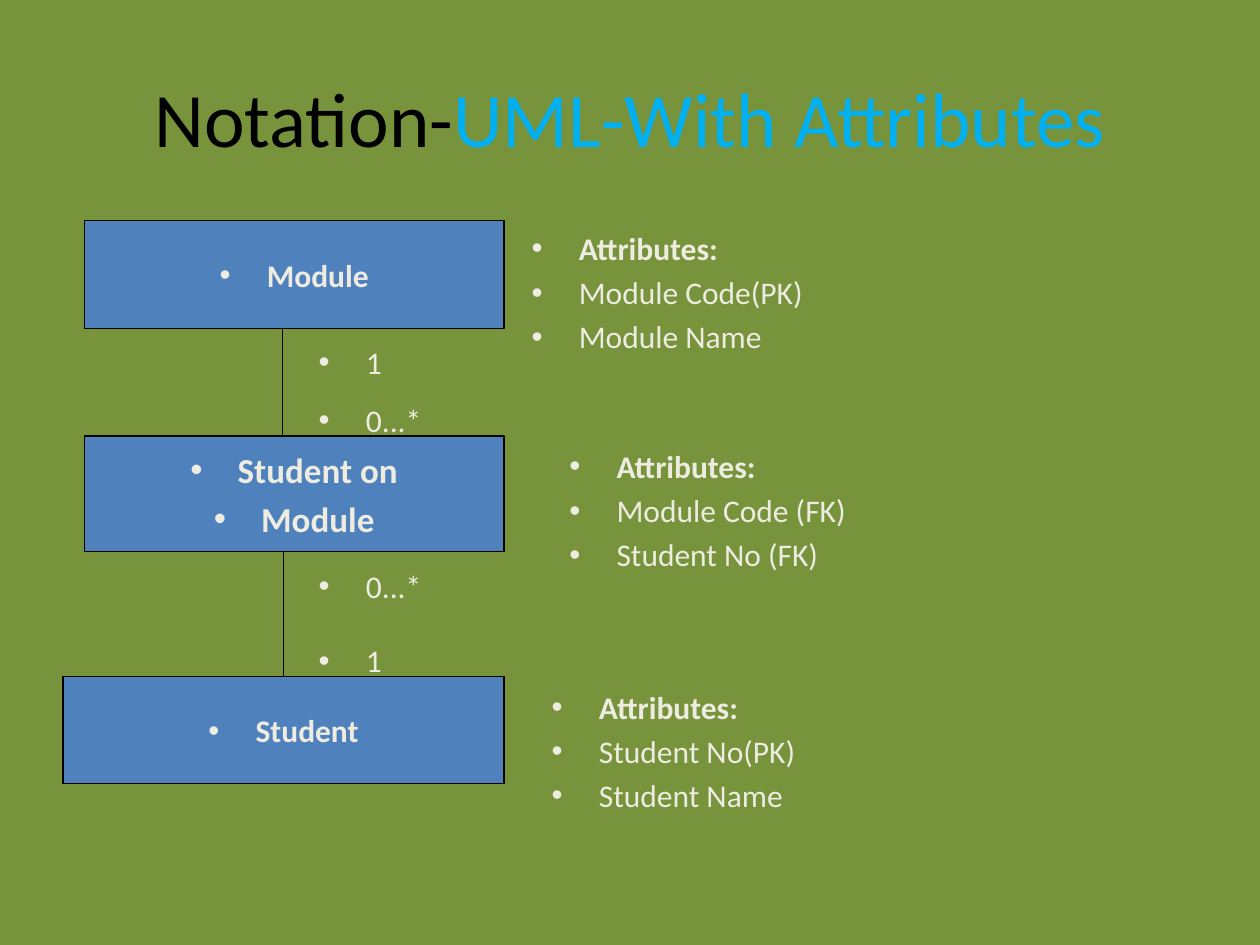
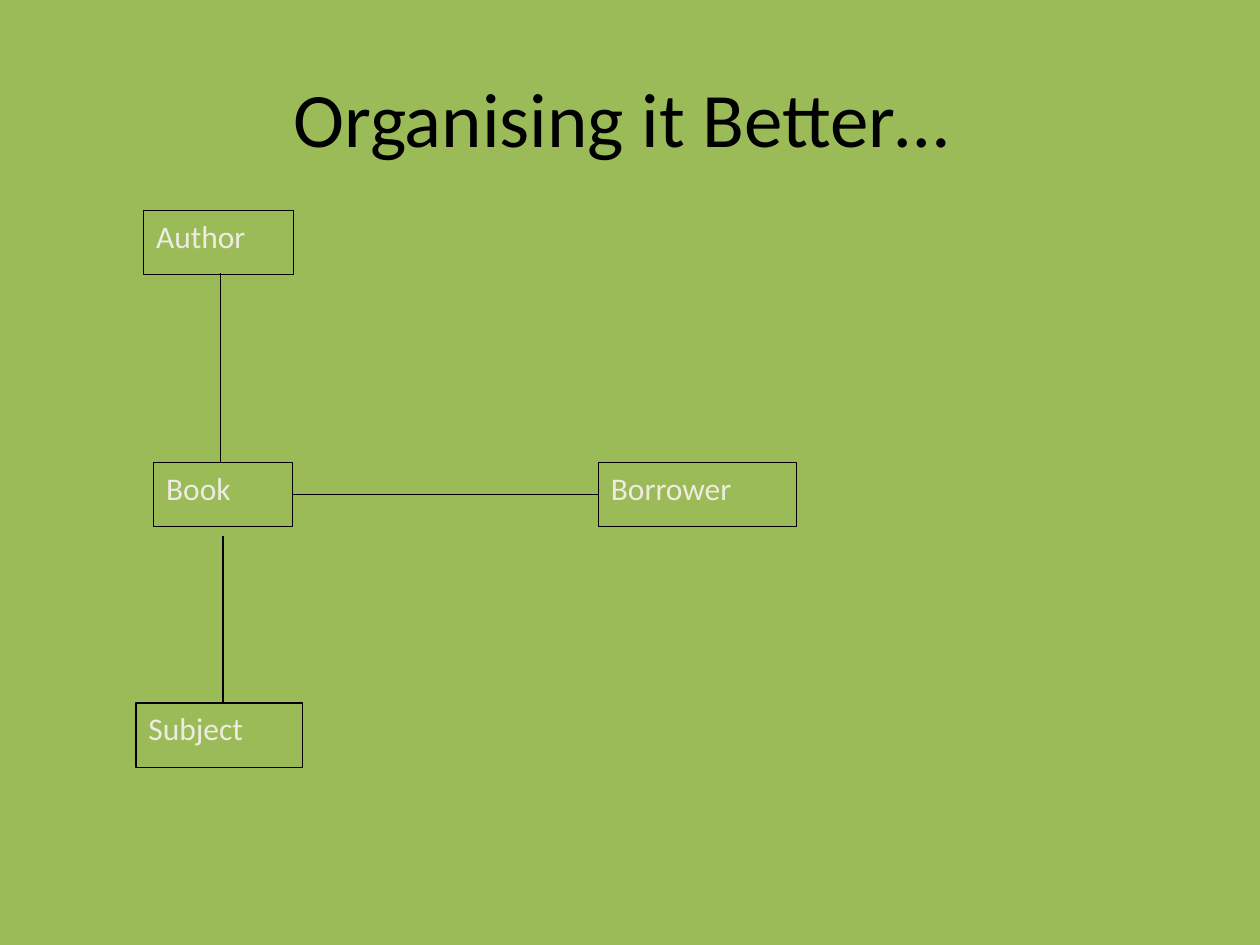
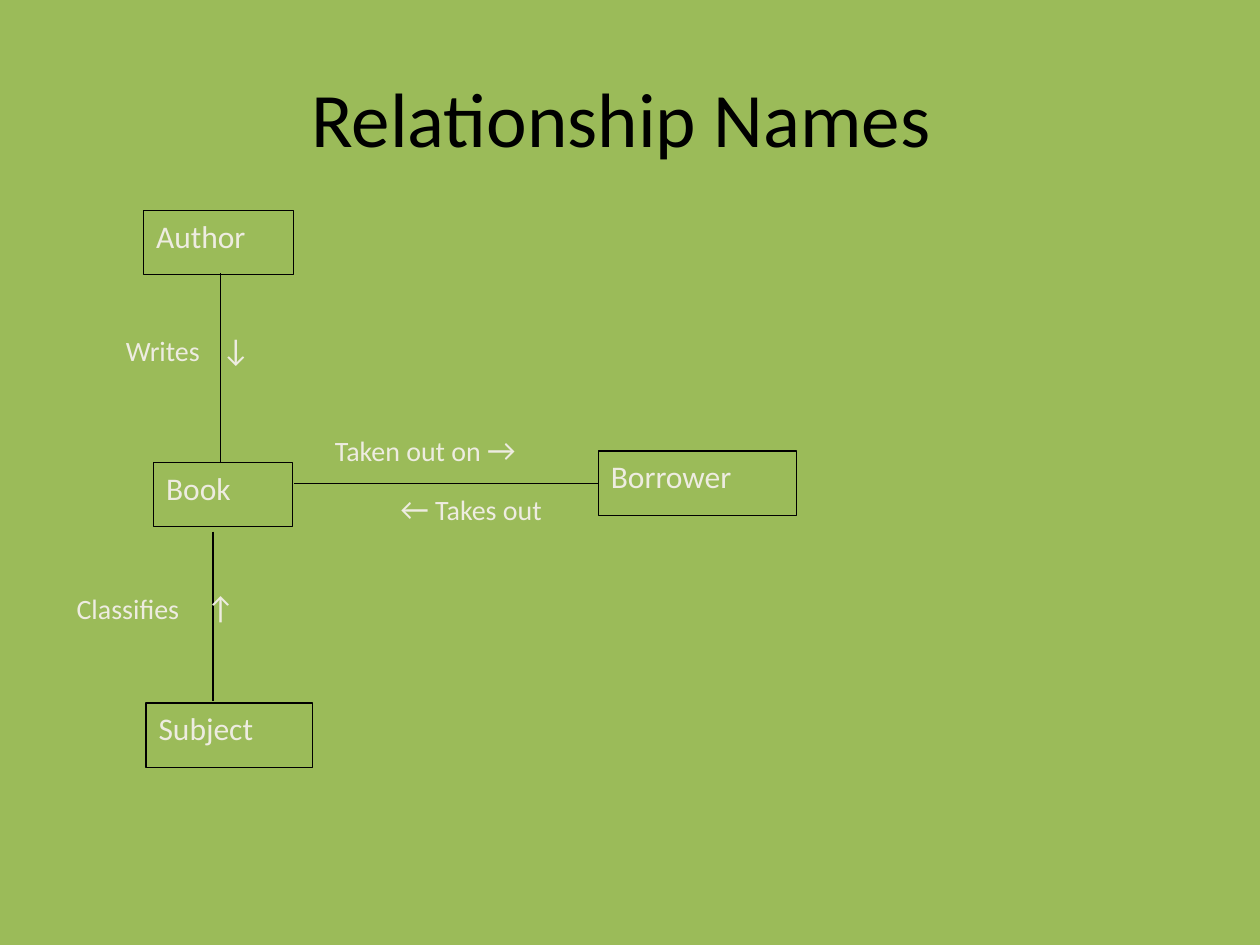
from lxml import etree
from pptx import Presentation
from pptx import util as u
from pptx.dml.color import RGBColor
from pptx.enum import shapes, text
from pptx.oxml.ns import qn

OLIVE = RGBColor(0x77, 0x93, 0x3C)
GREEN = RGBColor(0x9B, 0xBB, 0x59)
BLUE = RGBColor(0x4F, 0x81, 0xBD)
SKY = RGBColor(0x00, 0xB0, 0xF0)
CREAM = RGBColor(0xEE, 0xEC, 0xE1)
BLACK = RGBColor(0, 0, 0)
FONT = "Calibri"

deck = Presentation()
deck.slide_width, deck.slide_height = u.Inches(10), u.Inches(7.5)
COL = deck.slide_width / 10  # grid of 10 columns
ROW = deck.slide_height / 7.5  # and 7.5 rows
INDENT = int(0.375 * COL)


def put(sheet, spot, lines, size=18, hue=CREAM, bold=False, frame=False,
        fill=None, mid=False, bullet=False):
    """Place a text box, or a framed rectangle, given in columns and rows."""
    x, y, w, h = spot
    area = int(x * COL), int(y * ROW), int(w * COL), int(h * ROW)
    if frame:
        box = sheet.shapes.add_shape(shapes.MSO_SHAPE.RECTANGLE, *area)
        box.shadow.inherit = False
        box.line.color.rgb, box.line.width = BLACK, u.Pt(0.75)
    else:
        box = sheet.shapes.add_textbox(*area)
    if fill is None:
        box.fill.background()
    else:
        box.fill.solid()
        box.fill.fore_color.rgb = fill
    body = box.text_frame
    body.word_wrap = True
    body.vertical_anchor = text.MSO_ANCHOR.MIDDLE if mid else text.MSO_ANCHOR.TOP
    body.text = "\n".join(lines)
    for i, para in enumerate(body.paragraphs):
        para.alignment = text.PP_ALIGN.CENTER if mid else text.PP_ALIGN.LEFT
        if i:
            para.space_before = u.Pt(size * 0.2)
        if bullet:
            props = para._p.get_or_add_pPr()
            props.set("marL", str(INDENT))
            props.set("indent", str(-INDENT))
            etree.SubElement(props, qn("a:buFont"), typeface="Arial")
            etree.SubElement(props, qn("a:buChar"), char="•")
        for run in para.runs:
            run.font.name, run.font.size = FONT, u.Pt(size)
            run.font.bold, run.font.color.rgb = bold, hue
    return box


def link(sheet, x1, y1, x2, y2):
    """Draw a thin black line between two grid points."""
    line = sheet.shapes.add_connector(
        shapes.MSO_CONNECTOR.STRAIGHT,
        int(x1 * COL), int(y1 * ROW), int(x2 * COL), int(y2 * ROW))
    line.line.color.rgb, line.line.width = BLACK, u.Pt(0.75)
    etree.SubElement(line._element.spPr, qn("a:effectLst"))
    return line


# Backgrounds and titles
sheets, heads = [], []
for hue, name in ((OLIVE, "Notation-"), (GREEN, "Organising it Better… "),
                  (GREEN, "Relationship Names ")):
    sheet = deck.slides.add_slide(deck.slide_layouts[6])
    sheet.background.fill.solid()
    sheet.background.fill.fore_color.rgb = hue
    heads.append(put(sheet, (0.5, 0.3, 9, 1.25), [name], 44, BLACK, mid=True))
    sheets.append(sheet)
uml, plan, names = sheets

# Slide 1: second half of the title
run = heads[0].text_frame.paragraphs[0].add_run()
run.text = "UML-With Attributes"
run.font.name, run.font.size, run.font.color.rgb = FONT, u.Pt(44), SKY

# Slide 1: entities and their links
link(uml, 2.24, 2.56, 2.24, 3.46)
for spot, lines, size in (
        ((0.67, 1.75, 3.33, 0.86), ["Module"], 18),
        ((0.67, 3.46, 3.33, 0.92), ["Student on", "Module"], 20),
        ((0.5, 5.37, 3.5, 0.85), ["Student"], 18)):
    entity = put(uml, spot, lines, size, bold=True, frame=True, fill=BLUE,
                 mid=True, bullet=True)
link(uml, 2.25, 4.38, 2.25, 5.37).end_connect(entity, 0)

# Slide 1: attributes
for spot, lines in (
        ((4.12, 1.77, 5.38, 1.2), ["Module Code(PK)", "Module Name"]),
        ((4.42, 3.5, 5.04, 1.2), ["Module Code (FK)", "Student No (FK)"]),
        ((4.28, 5.41, 4.58, 1.29), ["Student No(PK)", "Student Name"])):
    box = put(uml, spot, ["Attributes:"] + lines, bullet=True)
    box.text_frame.paragraphs[0].runs[0].font.bold = True

# Slide 1: how many at each end
for y, count in ((2.67, "1"), (3.13, "0...*"), (4.45, "0...*"), (5.04, "1")):
    put(uml, (2.43, y, 1.75, 0.34), [count], bullet=True)

# Slides 2 and 3: library entities, with what differs on each
for sheet, left, top, stem, start, end in (
        (plan, 1.08, 3.67, 1.77, 4.25, 5.58),
        (names, 1.16, 3.58, 1.69, 4.22, 5.56)):
    put(sheet, (1.14, 1.67, 1.19, 0.51), ["Author"], frame=True)
    book = put(sheet, (1.22, 3.67, 1.1, 0.51), ["Book"], frame=True)
    loan = put(sheet, (4.75, top, 1.57, 0.51), ["Borrower"], frame=True)
    put(sheet, (left, 5.58, 1.32, 0.51), ["Subject"], frame=True)
    link(sheet, 1.75, 2.17, 1.75, 3.67)
    link(sheet, stem, start, stem, end)
    line = link(sheet, 4.75, top + 0.25, 2.33, top + 0.25)
    line.begin_connect(loan, 1)
    line.end_y = line.begin_y
    if sheet is plan:
        line.end_connect(book, 3)

# Slide 3: relationship names, with larger arrows
for spot, parts, tab in (
        ((2.56, 3.36, 2.92, 0.51), ("Taken out on ", "→"), None),
        ((3.08, 3.83, 1.73, 0.5), ("←", " Takes out"), None),
        ((0.51, 4.62, 1.58, 0.5), ("Classifies\t", "↑"), 1.03),
        ((0.9, 2.57, 1.65, 0.51), ("Writes\t", "↓"), 0.76)):
    para = put(names, spot, []).text_frame.paragraphs[0]
    if tab:
        stops = etree.SubElement(para._p.get_or_add_pPr(), qn("a:tabLst"))
        etree.SubElement(stops, qn("a:tab"), pos=str(int(tab * COL)), algn="l")
    for part in parts:
        run = para.add_run()
        run.text = part
        run.font.name, run.font.color.rgb = FONT, CREAM
        run.font.size = u.Pt(18 if part in "←↑→↓" else 16)

deck.save("out.pptx")
